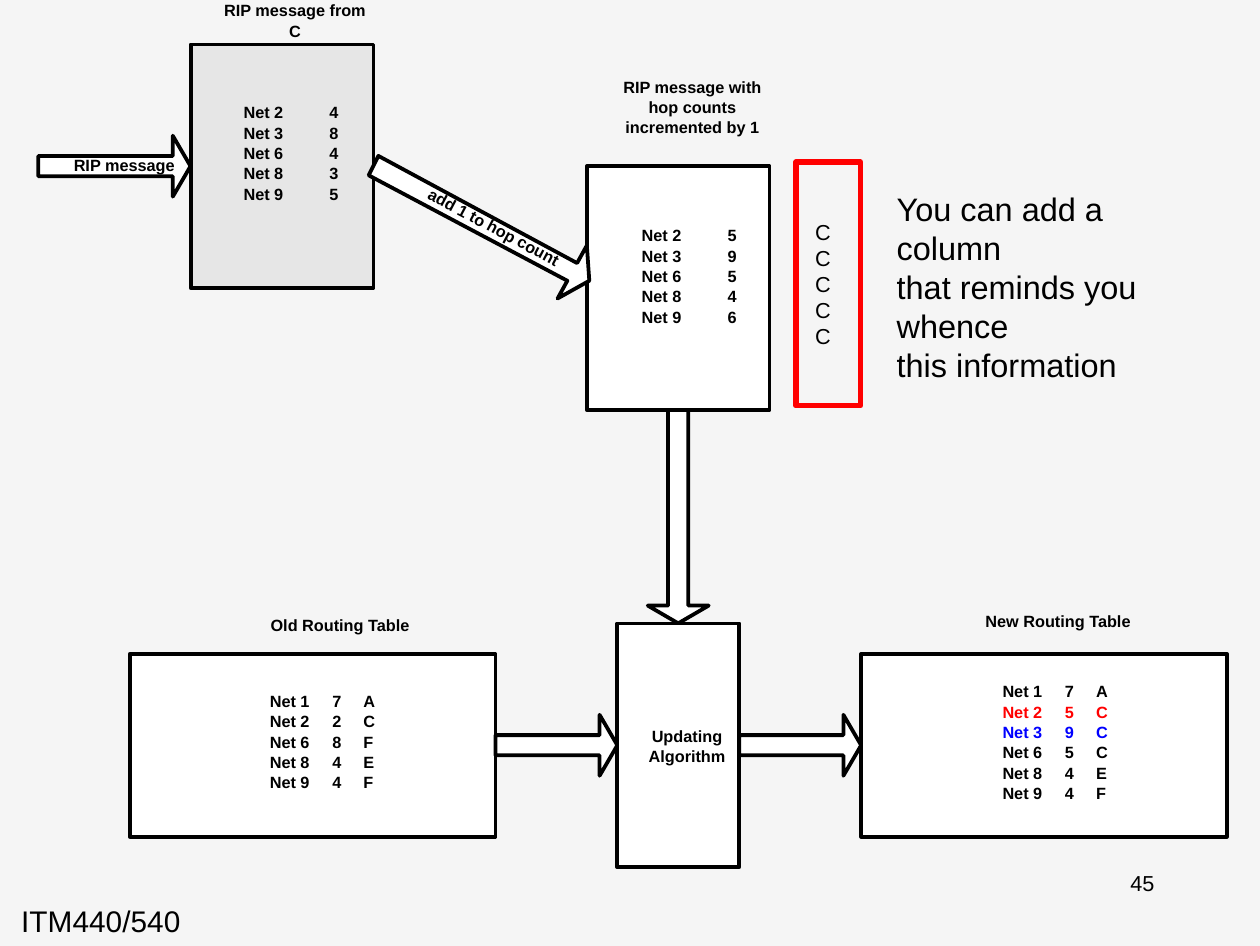
from lxml import etree
from pptx import Presentation
from pptx import util as u
from pptx.dml.color import RGBColor
from pptx.enum import shapes, text
from pptx.oxml.ns import qn

COLORS = {"background": "F5F5F5", "black": "000000", "white": "FFFFFF",
          "gray": "E6E6E6", "red": "FF0000", "blue": "0000FF"}
FONT = "Arial"

# All positions and sizes are in grid cells: column, row, width, height.
CELL = 0.3125
ORIGIN = (0.04, -0.085)

BOXES = [
    # area, fill, line color, line width
    ((3, 1, 3, 4), "gray", "black", 1.39),
    ((9.5, 3, 3, 4), "white", "black", 1.39),
    ((2, 11, 6, 3), "white", "black", 1.39),
    ((14, 11, 6, 3), "white", "black", 1.39),
]
ALGORITHM_BOX = (10, 10.5, 2, 4)
SOURCE_COLUMN = (12.93, 2.93, 1.06, 4)

RIGHT, DOWN = shapes.MSO_SHAPE.RIGHT_ARROW, shapes.MSO_SHAPE.DOWN_ARROW
ARROWS = [
    (RIGHT, (0.5, 2.5, 2.5, 1)),
    (DOWN, (10.5, 7, 1, 3.5)),
    (RIGHT, (8, 12, 2, 1)),
    (RIGHT, (12, 12, 2, 1)),
]
SLANTED_ARROW = [(9.54, 4.88), (9.5, 4.3), (9.34, 4.59), (6.08, 2.83),
                 (5.92, 3.15), (9.18, 4.88), (9.02, 5.17)]

HOP_TABS = [0.44]
ROUTE_TABS = [0.32, 0.48]
TABLES = [
    # column, row, tab stops, rows, colors of highlighted rows
    (3.87, 1.94, HOP_TABS,
     ["Net 2\t4", "Net 3\t8", "Net 6\t4", "Net 8\t3", "Net 9\t5"], {}),
    (10.4, 3.96, HOP_TABS,
     ["Net 2\t5", "Net 3\t9", "Net 6\t5", "Net 8\t4", "Net 9\t6"], {}),
    (4.3, 11.6, ROUTE_TABS,
     ["Net 1\t7\tA", "Net 2\t2\tC", "Net 6\t8\tF", "Net 8\t4\tE", "Net 9\t4\tF"], {}),
    (16.32, 11.44, ROUTE_TABS,
     ["Net 1\t7\tA", "Net 2\t5\tC", "Net 3\t9\tC", "Net 6\t5\tC", "Net 8\t4\tE",
      "Net 9\t4\tF"], {1: "red", 2: "blue"}),
]
LABELS = [
    # center column, top row, lines, rotation
    (4.71, 0.27, ["RIP message from", "C"], 0),
    (11.23, 1.52, ["RIP message with", "hop counts", "incremented by 1"], 0),
    (5.45, 10.35, ["Old Routing Table"], 0),
    (17.23, 10.29, ["New Routing Table"], 0),
    (1.91, 2.8, ["RIP message"], 0),
    (7.98, 3.82, ["add 1 to hop count"], 28),
]
LABEL_WIDTH = 3
ROW_PITCH = 7.5
ROW_HEIGHT = 0.33

PLAIN_TEXTS = [
    # area, lines, size, alignment, insets
    ((14.27, 3.22, 4.8, 3.52),
     ["You can add a column", "that reminds you whence", "this information"],
     12, text.PP_ALIGN.LEFT, (0.1, 0.05)),
    ((-0.13, 14.93, 6.72, 0.92), ["ITM440/540"], 11, text.PP_ALIGN.LEFT, (0.11, 0.05)),
    ((17, 14.45, 3.23, 1), ["45"], 8, text.PP_ALIGN.CENTER, (0.06, 0.03)),
]


def color(name):
    return RGBColor.from_string(COLORS[name])


def point(column, row):
    return u.Inches(ORIGIN[0] + column * CELL), u.Inches(ORIGIN[1] + row * CELL)


def place(area):
    column, row, width, height = area
    return *point(column, row), u.Inches(width * CELL), u.Inches(height * CELL)


def style(shape, fill="white", line="black", width=1.39):
    shape.shadow.inherit = False
    if fill:
        shape.fill.solid()
        shape.fill.fore_color.rgb = color(fill)
    else:
        shape.fill.background()
    shape.line.color.rgb = color(line)
    shape.line.width = u.Pt(width)


def write(shape, lines, size, bold=False, align=text.PP_ALIGN.LEFT, insets=(0, 0),
          pitch=None, tabs=(), highlights=None, wrap=True):
    """Fill a shape with one paragraph per line; tabs are in inches."""
    frame = shape.text_frame
    frame.word_wrap = wrap
    frame.margin_left = frame.margin_right = u.Inches(insets[0])
    frame.margin_top = frame.margin_bottom = u.Inches(insets[1])
    for index, line in enumerate(lines):
        paragraph = frame.paragraphs[0] if index == 0 else frame.add_paragraph()
        paragraph.alignment = align
        if tabs:
            properties = paragraph._p.get_or_add_pPr()
            stops = etree.SubElement(properties, qn("a:tabLst"))
            for tab in tabs:
                etree.SubElement(stops, qn("a:tab"), pos=str(u.Inches(tab)), algn="l")
        if pitch:
            paragraph.line_spacing = u.Pt(pitch)
        run = paragraph.add_run()
        run.text = line
        run.font.name = FONT
        run.font.size = u.Pt(size)
        run.font.bold = bold
        run.font.color.rgb = color((highlights or {}).get(index, "black"))


def add_rectangle(slide, area, *look):
    shape = slide.shapes.add_shape(shapes.MSO_SHAPE.RECTANGLE, *place(area))
    style(shape, *look)
    return shape


def add_arrows(slide):
    for kind, area in ARROWS:
        arrow = slide.shapes.add_shape(kind, *place(area))
        arrow.adjustments[0] = 0.33
        arrow.adjustments[1] = 0.29
        style(arrow)
    corners = [point(*corner) for corner in SLANTED_ARROW]
    builder = slide.shapes.build_freeform(*corners[0])
    builder.add_line_segments(corners[1:], close=True)
    style(builder.convert_to_shape())


def main():
    presentation = Presentation()
    presentation.slide_width = u.Inches(6.46)
    presentation.slide_height = u.Inches(4.85)
    slide = presentation.slides.add_slide(presentation.slide_layouts[6])
    slide.background.fill.solid()
    slide.background.fill.fore_color.rgb = color("background")

    for box in BOXES:
        add_rectangle(slide, *box)
    add_arrows(slide)

    algorithm = add_rectangle(slide, ALGORITHM_BOX)
    write(algorithm, ["Updating", "Algorithm"], 6, True, text.PP_ALIGN.CENTER,
          pitch=ROW_PITCH)
    algorithm.text_frame.margin_left = u.Inches(0.09)

    sources = add_rectangle(slide, SOURCE_COLUMN, None, "red", 2)
    write(sources, ["C"] * 5, 8, insets=(0.1, 0.05))

    for column, row, tabs, rows, highlights in TABLES:
        area = (column, row, 2, len(rows) * ROW_HEIGHT)
        write(slide.shapes.add_textbox(*place(area)), rows, 6, True,
              pitch=ROW_PITCH, tabs=tabs, highlights=highlights, wrap=False)

    for center, row, lines, rotation in LABELS:
        area = (center - LABEL_WIDTH / 2, row, LABEL_WIDTH, len(lines) * ROW_HEIGHT)
        label = slide.shapes.add_textbox(*place(area))
        label.rotation = rotation
        write(label, lines, 6, True, text.PP_ALIGN.CENTER, pitch=ROW_PITCH)

    for area, lines, size, align, insets in PLAIN_TEXTS:
        write(slide.shapes.add_textbox(*place(area)), lines, size, align=align,
              insets=insets)

    presentation.save("out.pptx")


if __name__ == "__main__":
    main()
